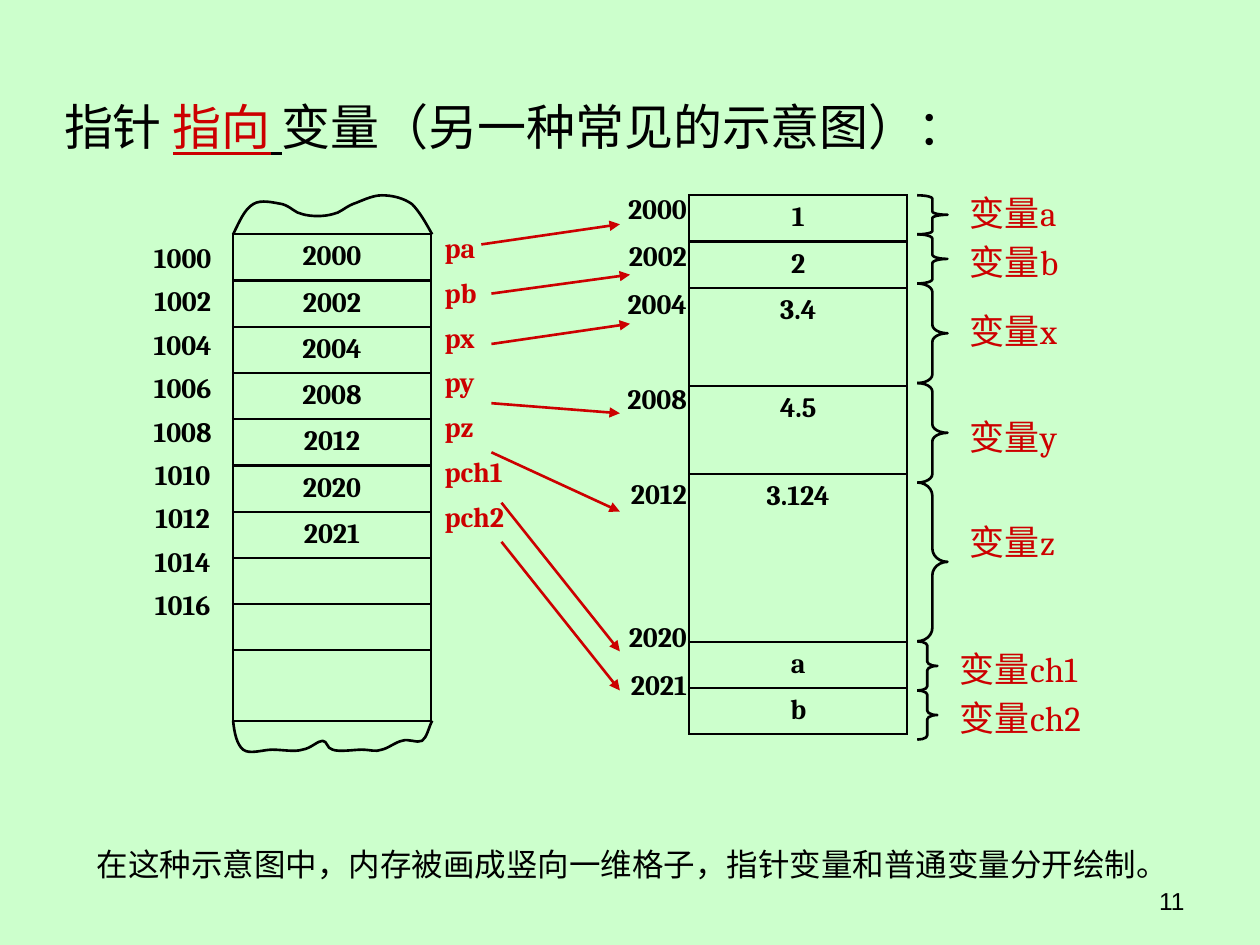
"""Draw pointers that refer to variables as two columns of memory cells."""

from dataclasses import dataclass
from itertools import accumulate, pairwise

import lxml.etree
import pptx
import pptx.dml.color
import pptx.enum.shapes
import pptx.enum.text
import pptx.oxml.ns
import pptx.shapes.autoshape
import pptx.slide
import pptx.text.text
import pptx.util

Inches = pptx.util.Inches
Pt = pptx.util.Pt
Align = pptx.enum.text.PP_ALIGN
Color = pptx.dml.color.RGBColor
qn = pptx.oxml.ns.qn


@dataclass(frozen=True)
class Theme:
    background: Color = Color(0xCC, 0xFF, 0xCC)
    ink: Color = Color(0, 0, 0)
    accent: Color = Color(0xCC, 0, 0)
    serif: str = "Cambria"
    sans: str = "Arial"
    title: int = 28
    label: int = 20
    note: int = 18
    cell: int = 16
    number: int = 14
    line: float = 1.5


THEME = Theme()


@dataclass(frozen=True)
class Style:
    size: int
    color: Color = THEME.ink
    bold: bool = False
    font: str = THEME.serif
    align: Align = Align.LEFT


@dataclass(frozen=True)
class Column:
    left: float
    top: float
    width: float
    heights: list[float]
    values: list[str]


@dataclass(frozen=True)
class TextList:
    left: float
    top: float
    width: float
    height: float
    lines: list[str]
    style: Style
    gaps: list[float]


@dataclass(frozen=True)
class Arrow:
    start: tuple[float, float]
    end: tuple[float, float]


CELL = Style(THEME.cell, bold=True, align=Align.CENTER)
ADDRESS = Style(THEME.cell, bold=True, align=Align.RIGHT)
POINTER = Style(THEME.cell, THEME.accent, bold=True)
LABEL = Style(THEME.label, THEME.accent)

UNIT = 3.3 / 9
COLUMNS = [
    Column(1.85, 1.86, 1.57, [UNIT] * 9 + [0.56],
           ["2000", "2002", "2004", "2008", "2012", "2020", "2021", "", "", ""]),
    Column(5.47, 1.55, 1.73, [UNIT, UNIT, 0.78, 0.7, 1.33, UNIT, UNIT],
           ["1", "2", "3.4", "4.5", "3.124", "a", "b"]),
]

TEXTS = [
    TextList(0.67, 6.66, 8.9, 0.4,
             ["在这种示意图中，内存被画成竖向一维格子，指针变量和普通变量分开绘制。"],
             Style(THEME.note), []),
    TextList(0.98, 1.86, 0.94, 3.26,
             [str(address) for address in range(1000, 1017, 2)], CELL, [5.6] * 8),
    TextList(3.43, 1.78, 0.71, 2.62,
             ["pa", "pb", "px", "py", "pz", "pch1", "pch2"], POINTER, [6.4] * 6),
    TextList(4.61, 1.47, 0.94, 4.38,
             ["2000", "2002", "2004", "2008", "2012", "2020", "2021"],
             ADDRESS, [8, 8, 35.2, 35.2, 62.4, 8]),
    TextList(7.6, 1.47, 1.3, 0.83, ["变量a", "变量b"], LABEL, [4]),
    TextList(7.6, 2.41, 1.3, 2.17, ["变量x", "变量y", "变量z"], LABEL, [36.3] * 2),
    TextList(7.52, 5.09, 1.42, 0.83, ["变量ch1", "变量ch2"], LABEL, [4]),
    TextList(7.17, 6.98, 2.33, 0.37, ["11"],
             Style(THEME.number, font=THEME.sans, align=Align.RIGHT), []),
]

TITLE_PARTS = [("指针 ", THEME.ink, False), ("指向", THEME.accent, True),
               (" ", THEME.ink, True), ("变量（另一种常见的示意图）：", THEME.ink, False)]

ARROWS = [
    Arrow((3.82, 1.94), (4.92, 1.78)), Arrow((3.9, 2.33), (5, 2.18)),
    Arrow((3.9, 2.73), (5, 2.57)), Arrow((3.9, 3.2), (4.92, 3.28)),
    Arrow((3.9, 3.59), (4.92, 4.06)), Arrow((3.98, 3.99), (4.92, 5.17)),
    Arrow((3.98, 4.3), (4.92, 5.48)),
]

BRACE_LEFT, BRACE_TOP = 7.28, 1.55
BRACES = [(0.24, 0.31, 0.11), (0.24, 0.39, 0.14), (0.24, 0.79, 0.28), (0.24, 0.79, 0.28),
          (0.24, 1.26, 0.44), (0.16, 0.39, 0.21), (0.16, 0.39, 0.21)]

TORN_BOTTOM = [
    (1.85, 5.72), (1.86, 5.82), (1.88, 5.91), (1.93, 5.95), (1.98, 5.99), (2.09, 5.95),
    (2.16, 5.95), (2.24, 5.95), (2.34, 5.97), (2.4, 5.95), (2.47, 5.94), (2.52, 5.88),
    (2.56, 5.88), (2.6, 5.88), (2.59, 5.94), (2.64, 5.95), (2.69, 5.97), (2.81, 5.95),
    (2.87, 5.95), (2.94, 5.95), (2.98, 5.97), (3.03, 5.95), (3.08, 5.94), (3.14, 5.89),
    (3.19, 5.88), (3.24, 5.86), (3.31, 5.9), (3.35, 5.88), (3.39, 5.85), (3.4, 5.78),
    (3.43, 5.72)]
TORN_TOP = [
    (1.85, 1.86), (1.9, 1.76), (1.94, 1.66), (2.01, 1.62), (2.07, 1.58), (2.18, 1.61),
    (2.24, 1.62), (2.31, 1.64), (2.34, 1.69), (2.4, 1.7), (2.47, 1.72), (2.57, 1.72),
    (2.64, 1.7), (2.7, 1.69), (2.73, 1.65), (2.8, 1.62), (2.86, 1.6), (2.95, 1.55),
    (3.03, 1.55), (3.11, 1.55), (3.2, 1.57), (3.27, 1.62), (3.33, 1.68), (3.38, 1.77),
    (3.43, 1.86)]


def format_paragraph(para: pptx.text.text._Paragraph, style: Style) -> None:
    para.alignment = style.align
    for span in para.runs:
        span.font.name = style.font
        span.font.size = Pt(style.size)
        span.font.bold = style.bold
        span.font.color.rgb = style.color


def draw_text(page: pptx.slide.Slide, item: TextList) -> None:
    box = page.shapes.add_textbox(*map(Inches, (item.left, item.top, item.width, item.height)))
    box.text_frame.word_wrap = True
    box.text_frame.text = "\n".join(item.lines)
    paragraphs = box.text_frame.paragraphs
    for para in paragraphs:
        format_paragraph(para, item.style)
    for para, gap in zip(paragraphs[1:], item.gaps):
        para.space_before = Pt(gap)


def draw_title(page: pptx.slide.Slide) -> None:
    box = page.shapes.add_textbox(*map(Inches, (0.41, 0.72, 8.08, 0.61)))
    box.text_frame.word_wrap = True
    para = box.text_frame.paragraphs[0]
    for text, _, _ in TITLE_PARTS:
        para.add_run().text = text
    format_paragraph(para, Style(THEME.title))
    for span, (_, color, underline) in zip(para.runs, TITLE_PARTS):
        span.font.color.rgb = color
        span.font.underline = underline


def draw_column(page: pptx.slide.Slide, column: Column) -> None:
    place = (column.left, column.top, column.width, sum(column.heights))
    table = page.shapes.add_table(len(column.values), 1, *map(Inches, place)).table
    table.first_row = table.horz_banding = False
    for row, height, value in zip(table.rows, column.heights, column.values):
        row.height = Inches(height)
        cell = row.cells[0]
        cell.text_frame.text = value
        format_paragraph(cell.text_frame.paragraphs[0], CELL)
        if not value:
            cell.margin_top = cell.margin_bottom = 0
        properties = cell._tc.get_or_add_tcPr()
        for side in "LRTB":
            border = lxml.etree.SubElement(properties, qn(f"a:ln{side}"), w=str(Pt(THEME.line)))
            fill = lxml.etree.SubElement(border, qn("a:solidFill"))
            lxml.etree.SubElement(fill, qn("a:srgbClr"), val=str(THEME.ink))
        cell.fill.background()


def outline(shape: pptx.shapes.autoshape.Shape) -> None:
    shape.shadow.inherit = False
    shape.fill.background()
    shape.line.color.rgb = THEME.ink
    shape.line.width = Pt(THEME.line)


def draw_curve(page: pptx.slide.Slide, points: list[tuple[float, float]]) -> None:
    builder = page.shapes.build_freeform(*map(Inches, points[0]))
    builder.add_line_segments([(Inches(x), Inches(y)) for x, y in points[1:]], close=False)
    shape = builder.convert_to_shape()
    segments = list(shape._element.iter(qn("a:lnTo")))
    outline_path = segments[0].getparent()
    for first in range(0, len(segments), 3):
        curve = lxml.etree.SubElement(outline_path, qn("a:cubicBezTo"))
        for segment in segments[first:first + 3]:
            curve.append(segment[0])
            outline_path.remove(segment)
    outline(shape)


def draw_arrow(page: pptx.slide.Slide, arrow: Arrow) -> None:
    connector = page.shapes.add_connector(
        pptx.enum.shapes.MSO_CONNECTOR.STRAIGHT, *map(Inches, arrow.start + arrow.end))
    connector.line.color.rgb = THEME.accent
    connector.line.width = Pt(THEME.line)
    properties = connector._element.spPr
    lxml.etree.SubElement(properties.find(qn("a:ln")), qn("a:tailEnd"), type="triangle")
    lxml.etree.SubElement(properties, qn("a:effectLst"))


def draw_braces(page: pptx.slide.Slide) -> None:
    edges = accumulate((height for _, height, _ in BRACES), initial=BRACE_TOP)
    for (top, _), (width, height, curl) in zip(pairwise(edges), BRACES):
        brace = page.shapes.add_shape(pptx.enum.shapes.MSO_SHAPE.RIGHT_BRACE,
                                      *map(Inches, (BRACE_LEFT, top, width, height)))
        brace.adjustments[0] = curl
        outline(brace)


def main() -> None:
    deck = pptx.Presentation()
    deck.slide_width, deck.slide_height = Inches(10), Inches(7.5)
    page = deck.slides.add_slide(deck.slide_layouts[6])
    page.background.fill.solid()
    page.background.fill.fore_color.rgb = THEME.background
    draw_title(page)
    for column in COLUMNS:
        draw_column(page, column)
    for points in (TORN_BOTTOM, TORN_TOP):
        draw_curve(page, points)
    for item in TEXTS:
        draw_text(page, item)
    for arrow in ARROWS:
        draw_arrow(page, arrow)
    draw_braces(page)
    deck.save("out.pptx")


if __name__ == "__main__":
    main()
